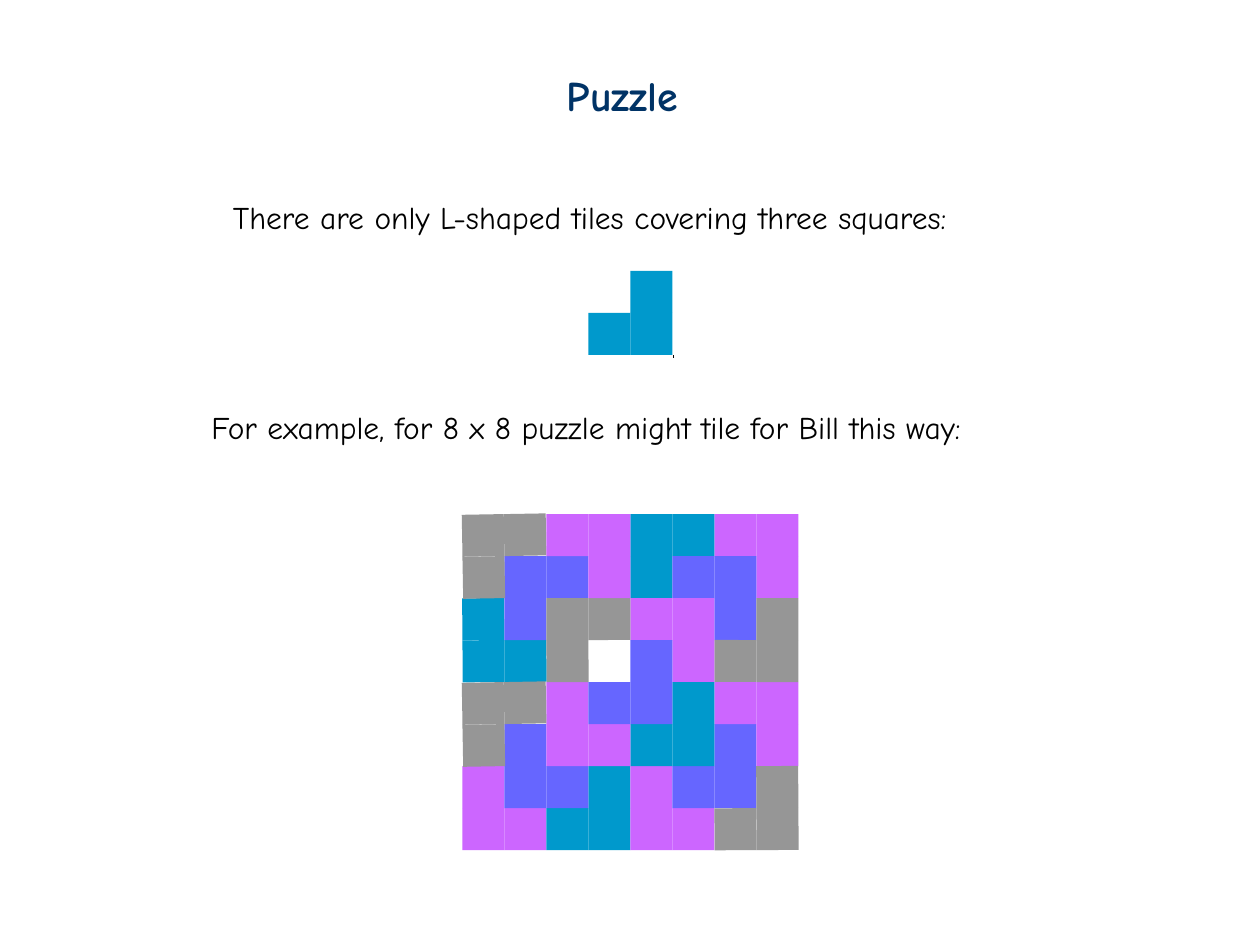
from typing import NamedTuple

from lxml.etree import SubElement
from pptx import Presentation
from pptx.dml.color import RGBColor
from pptx.enum.shapes import MSO_CONNECTOR, MSO_SHAPE
from pptx.enum.text import MSO_AUTO_SIZE
from pptx.oxml.ns import qn
from pptx.shapes.shapetree import _BaseGroupShapes
from pptx.slide import Slide
from pptx.util import Inches, Pt

COLORS = {
    "teal": "0099CC",
    "pink": "CC66FF",
    "violet": "6666FF",
    "grey": "969696",
    "navy": "003366",
    "black": "000000",
}
FONT = "Comic Neue"
CELL = 1 / 3
BOARD_LEFT, BOARD_TOP = 3.67, 4.08
SAMPLE_LEFT, SAMPLE_TOP = 4.67, 2.15
UPRIGHT_CELLS = [(0, 0), (0, 1), (1, 1)]
SAMPLE_CELLS = [(1, 0), (0, 1), (1, 1)]


class Tile(NamedTuple):
    column: int
    row: int
    color: str
    turn: float = 0


TILES = [
    Tile(0, 6, "pink"),
    Tile(2, 6, "teal", 270),
    Tile(1, 5, "violet"),
    Tile(4, 6, "pink"),
    Tile(5, 5, "violet", 270),
    Tile(0, 2, "teal", 359.6),
    Tile(1, 1, "violet", 90),
    Tile(0, 0, "grey", 89),
    Tile(6, 0, "pink", 180),
    Tile(4, 0, "teal", 90),
    Tile(5, 1, "violet", 180),
    Tile(6, 4, "pink", 180),
    Tile(6, 2, "grey", 270.1),
    Tile(6, 6, "grey", 269.7),
    Tile(4, 2, "pink", 180),
    Tile(4, 4, "teal", 270),
    Tile(2, 4, "pink"),
    Tile(0, 4, "grey", 89),
    Tile(2, 2, "grey", 89.8),
    Tile(2, 0, "pink", 180),
    Tile(3, 3, "violet", 270),
]


def rgb(color: str) -> RGBColor:
    return RGBColor.from_string(COLORS[color])


def draw_text(slide: Slide, text: str, *, left: float, top: float, width: float,
              height: float = 0.4, size: int = 18, color: str = "black",
              bold: bool = False) -> None:
    box = slide.shapes.add_textbox(Inches(left), Inches(top), Inches(width), Inches(height))
    frame = box.text_frame
    frame.word_wrap = False
    frame.auto_size = MSO_AUTO_SIZE.SHAPE_TO_FIT_TEXT
    run = frame.paragraphs[0].add_run()
    run.text = text
    run.font.name = FONT
    run.font.size = Pt(size)
    run.font.bold = bold
    run.font.color.rgb = rgb(color)


def draw_squares(shapes: _BaseGroupShapes, cells: list[tuple[int, int]],
                 left: float, top: float, color: str) -> None:
    for column, row in cells:
        square = shapes.add_shape(
            MSO_SHAPE.RECTANGLE,
            Inches(left + column * CELL), Inches(top + row * CELL),
            Inches(CELL), Inches(CELL),
        )
        square.shadow.inherit = False
        square.fill.solid()
        square.fill.fore_color.rgb = rgb(color)
        square.line.fill.background()


def draw_tile(slide: Slide, tile: Tile) -> None:
    group = slide.shapes.add_group_shape()
    left = BOARD_LEFT + tile.column * CELL
    top = BOARD_TOP + tile.row * CELL
    draw_squares(group.shapes, UPRIGHT_CELLS, left, top, tile.color)
    group.rotation = tile.turn


def draw_tick(slide: Slide) -> None:
    tick = slide.shapes.add_connector(
        MSO_CONNECTOR.STRAIGHT, Inches(5.35), Inches(2.83), Inches(5.34), Inches(2.83)
    )
    tick.line.color.rgb = rgb("black")
    tick.line.width = Pt(1.5)
    SubElement(tick._element.spPr, qn("a:effectLst"))


def main() -> None:
    presentation = Presentation()
    presentation.slide_width = Inches(10)
    presentation.slide_height = Inches(7.5)
    slide = presentation.slides.add_slide(presentation.slide_layouts[6])

    draw_text(slide, "There are only L-shaped tiles covering three squares:",
              left=1.75, top=1.52, width=6.44)
    draw_squares(slide.shapes, SAMPLE_CELLS, SAMPLE_LEFT, SAMPLE_TOP, "teal")
    draw_tick(slide)
    draw_text(slide, "For example, for 8 x 8 puzzle might tile for Bill this way:",
              left=1.58, top=3.19, width=6.83)
    for tile in TILES:
        draw_tile(slide, tile)
    draw_text(slide, "Puzzle", left=4.4, top=0.5, width=1.19, height=0.5,
              size=24, color="navy", bold=True)

    presentation.save("out.pptx")


if __name__ == "__main__":
    main()
